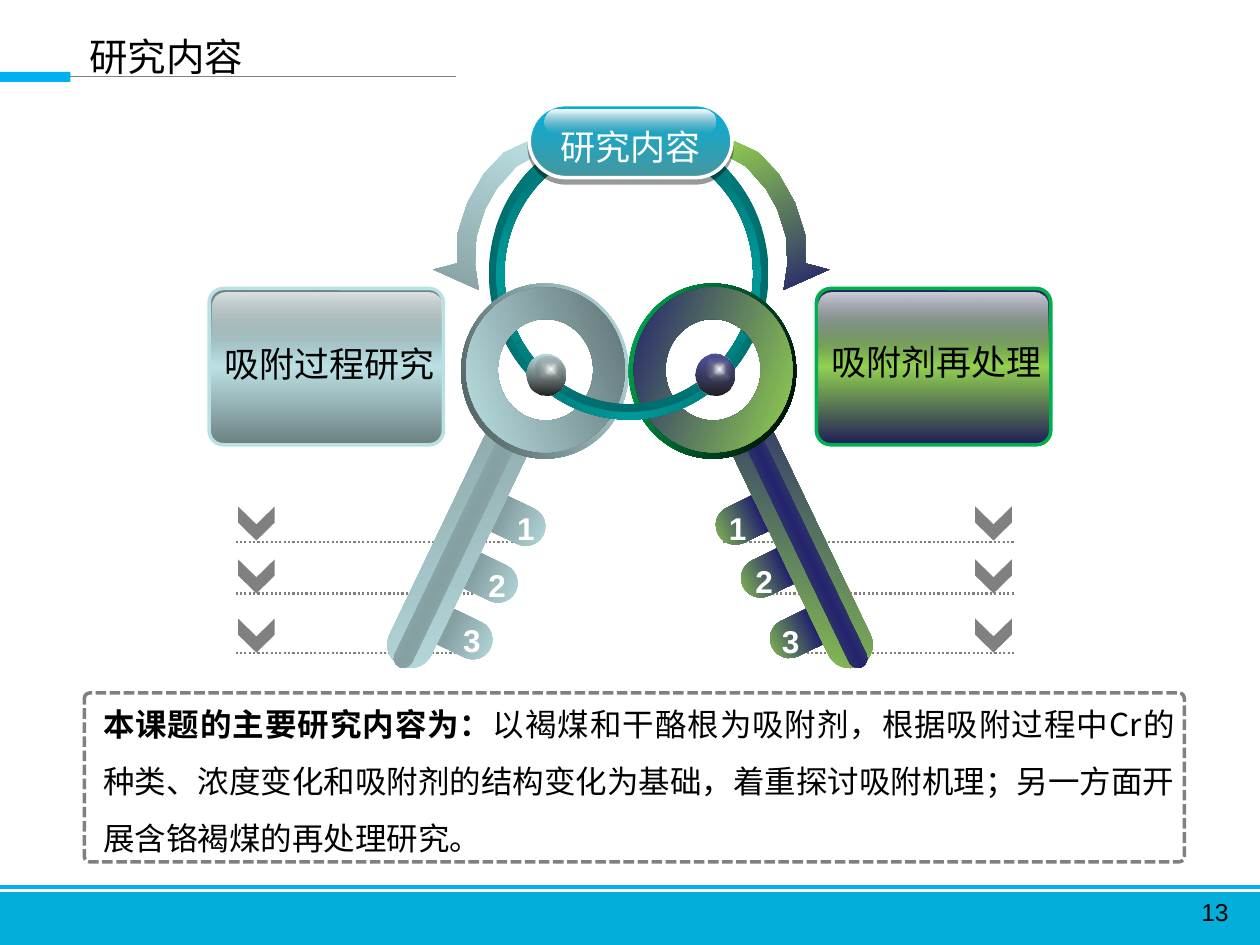
"""Builds the research content slide: two keys on a ring with a summary below."""
from lxml import etree
from pptx import Presentation
from pptx import util as u
from pptx.dml import color
from pptx.enum import dml, shapes, text
from pptx.oxml import ns

presentation = Presentation()
presentation.slide_width, presentation.slide_height = u.Inches(10), u.Inches(7.5)
column, row = presentation.slide_width / 10, presentation.slide_height / 7.5
slide = presentation.slides.add_slide(presentation.slide_layouts[5])
paint = color.RGBColor.from_string
kinds = shapes.MSO_SHAPE
CJK = "Noto Sans CJK SC"
NAMESPACE = ns.nsdecls("a")


def draw(kind, box, fill=None, angle=0, rotation=0, mirror=False, adjust=(), line=None):
    """Draw a preset in a box, or an outline through points, with a solid or gradient fill."""
    if mirror:
        rotation, angle = -rotation, 180 - angle
    if kind is None:
        points = [((10.02 - x if mirror else x) * 1000, y * 1000) for x, y in box]
        builder = slide.shapes.build_freeform(*points[0], scale=column / 1000)
        builder.add_line_segments(points[1:], close=True)
        shape = builder.convert_to_shape()
    else:
        x, y, width, height = box
        shape = slide.shapes.add_shape(
            kind, int(x * column), int(y * row), int(width * column), int(height * row))
    shape.rotation = rotation % 360
    shape.shadow.inherit = False
    for index, value in enumerate(adjust):
        shape.adjustments[index] = value
    if line:
        shape.line.color.rgb, shape.line.width = paint(line[0]), u.Pt(line[1])
    else:
        shape.line.fill.background()
    if fill is None:
        shape.fill.background()
        return shape
    shape.fill.solid()
    if isinstance(fill, str):
        shape.fill.fore_color.rgb = paint(fill)
        return shape
    stops = "".join(
        f'<a:gs pos="{position * 1000}"><a:srgbClr val="{value}">'
        f'<a:alpha val="{alpha * 1000}"/></a:srgbClr></a:gs>' for position, value, alpha in fill)
    direction = (f'<a:lin ang="{int(angle % 360 * 60000)}" scaled="0"/>' if angle is not None else
                 '<a:path path="shape"><a:fillToRect l="50000" t="50000" r="50000" b="50000"/></a:path>')
    gradient = etree.fromstring(
        f'<a:gradFill {NAMESPACE} rotWithShape="1"><a:gsLst>{stops}</a:gsLst>{direction}</a:gradFill>')
    properties = shape.element.spPr
    properties.replace(properties.find(ns.qn("a:solidFill")), gradient)
    return shape


def write(box, words, size, value, align, font="Arial", bold=None):
    """Add a wrapped text box and return its paragraph."""
    x, y, width, height = box
    shape = slide.shapes.add_textbox(int(x * column), int(y * row), int(width * column), int(height * row))
    shape.text_frame.word_wrap = True
    paragraph = shape.text_frame.paragraphs[0]
    paragraph.text, paragraph.alignment = words, align
    paragraph.font.size, paragraph.font.name, paragraph.font.bold = u.Pt(size), font, bold
    paragraph.font.color.rgb = paint(value)
    return paragraph


CENTER = text.PP_ALIGN.CENTER
draw(kinds.RECTANGLE, (0, 7.08, 10, 0.42), "04AEDA")

title = slide.shapes.title
title.left, title.top = int(0.61 * column), int(0.22 * row)
title.width, title.height = int(2.8 * column), int(0.47 * row)
title.text_frame.text = "研究内容"
title.text_frame.vertical_anchor = text.MSO_ANCHOR.TOP
paragraph = title.text_frame.paragraphs[0]
paragraph.alignment, paragraph.line_spacing = text.PP_ALIGN.LEFT, u.Pt(25.6)
paragraph.font.size, paragraph.font.name = u.Pt(22), CJK
paragraph.font.color.rgb = paint("000000")

paragraph = write((0.72, 5.4, 8.7, 1.46), "", 18, "000000", text.PP_ALIGN.JUSTIFY, CJK)
paragraph.line_spacing, paragraph.space_after = 1.5, u.Pt(3.6)
lead = paragraph.add_run()
lead.text, lead.font.bold = "本课题的主要研究内容为：", True
paragraph.add_run().text = ("以褐煤和干酪根为吸附剂，根据吸附过程中Cr的种类、浓度变化和吸附剂的结构变化为基础，"
                            "着重探讨吸附机理；另一方面开展含铬褐煤的再处理研究。")

rules = [(0, 10, 7.04, "00B0F0", 2.25, None), (0.23, 3.62, 0.61, "808080", 0.75, None)]
for index, y in enumerate((4.3, 4.71, 5.18)):
    for start, end in ((1.87, 4.19 - 0.21 * index), (5.74 + 0.21 * index, 8.05)):
        rules.append((start, end, y, "808080", 1.25, dml.MSO_LINE.ROUND_DOT))
for start, end, y, value, width, dash in rules:
    rule = slide.shapes.add_connector(
        shapes.MSO_CONNECTOR.STRAIGHT, int(start * column), int(y * row), int(end * column), int(y * row))
    rule.line.color.rgb, rule.line.width, rule.line.dash_style = paint(value), u.Pt(width), dash
    etree.SubElement(rule.element.spPr, ns.qn("a:effectLst"))
draw(kinds.RECTANGLE, (0, 0.57, 0.56, 0.08), "00B0F0")

sides = [
    dict(mirror=False, light="BBE0E3", dark="86A0A2", tooth_end="BBE0E3", rim=("BBE0E3", "4B5A5B"),
         bow="5F7274", edge="6B8081", border="BBE0E3", ball="BBE0E3", chevron=1.9, shaft=3.46,
         groove=3.56, ring=3.66, panel=1.66, gloss=1.69, sphere=4.18,
         teeth=[(3.61, 3.93), (3.39, 4.38), (3.19, 4.83)],
         numbers=[(3.31, 3.99), (3.08, 4.44), (2.88, 4.88)],
         label="吸附过程研究", label_box=(1.64, 2.67, 1.95, 0.44)),
    dict(mirror=True, light="92D050", dark="24246D", tooth_end="333399", rim=("00B050", "000000"),
         bow="24246D", edge="1D1D57", border="00B050", ball="333399", chevron=7.75, shaft=6.17,
         groove=6.3, ring=4.99, panel=6.48, gloss=6.5, sphere=5.52,
         teeth=[(5.66, 3.92), (5.86, 4.34), (6.09, 4.82)],
         numbers=[(4.99, 3.99), (5.2, 4.41), (5.41, 4.89)],
         label="吸附剂再处理", label_box=(6.48, 2.65, 1.91, 0.44)),
]
arrow = [(4.19, 1.12), (4.34, 1.19), (4.1, 1.32), (3.94, 1.5), (3.85, 1.66), (3.78, 1.88), (3.77, 2.1),
         (3.8, 2.3), (3.44, 2.14), (3.63, 2.09), (3.63, 1.86), (3.71, 1.61), (3.84, 1.38), (4, 1.21)]

for side in sides:
    mirror, light, dark = side["mirror"], side["light"], side["dark"]
    tooth_fill = [(0, light, 100), (50, dark, 100), (100, side["tooth_end"], 100)]
    for y in (4.01, 4.43, 4.9):
        draw(kinds.CHEVRON, (side["chevron"], y, 0.27, 0.29), "808080", rotation=90, adjust=[0.525])
    for x, y in side["teeth"]:
        draw(kinds.ROUNDED_RECTANGLE, (x, y, 0.74, 0.31), tooth_fill, 180, 25.6, mirror, [0.5])
    for number, (x, y) in enumerate(side["numbers"], 1):
        write((x, y, 1.73, 0.37), str(number), 18, "FFFFFF", CENTER, bold=True)
    draw(None, arrow, [(0, light, 100), (100, dark, 100)], 114, mirror=mirror)

ring_fill = [(0, "006D6D", 100), (50, "009999", 100), (100, "006D6D", 100)]
for first, last in ((148, 32), (32, 148)):
    if first == 32:
        for side in sides:
            mirror, light, dark, x = side["mirror"], side["light"], side["dark"], side["ring"]
            draw(kinds.ROUNDED_RECTANGLE, (side["shaft"], 3.23, 0.37, 2.16),
                 [(0, light, 100), (100, dark, 100)], 225, 25.6, mirror, [0.5])
            draw(kinds.ROUNDED_RECTANGLE, (side["groove"], 3.24, 0.15, 2.16),
                 [(0, light, 100), (50, dark, 100), (100, light, 100)], 0, 25.6, mirror, [0.5])
            rim_start, rim_end = side["rim"]
            draw(kinds.DONUT, (x, 2.25, 1.33, 1.39),
                 [(0, rim_start, 100), (100, rim_end, 100)], 160, 0, mirror, [0.21])
            draw(kinds.DONUT, (x + 0.04, 2.28, 1.26, 1.31),
                 [(0, side["bow"], 100), (100, light, 100)], 160, 0, mirror, [0.2])
    for box, thickness, angle in (((3.88, 1.01, 2.22, 2.32), 0.05, 0), ((3.94, 1.08, 2.1, 2.19), 0.03, 90)):
        draw(kinds.BLOCK_ARC, box, ring_fill, angle, adjust=[first * 0.6, last * 0.6, thickness])

for side in sides:
    panel_fill = [(0, side["edge"], 100), (50, side["light"], 100), (100, side["edge"], 100)]
    draw(kinds.ROUNDED_RECTANGLE, (side["panel"], 2.29, 1.86, 1.24), panel_fill, 90,
         adjust=[0.091], line=(side["border"], 2))
    write(side["label_box"], side["label"], 20, "000000", CENTER)

pill = draw(kinds.ROUNDED_RECTANGLE, (4.2, 0.83, 1.61, 0.58),
            [(0, "04AEDA", 100), (100, "4597A0", 100)], 90, adjust=[0.5], line=("FFFFFF", 2))
pill.element.spPr.find(ns.qn("a:effectLst")).append(etree.fromstring(
    f'<a:outerShdw {NAMESPACE} blurRad="0" dist="38100" dir="5400000" rotWithShape="0">'
    '<a:srgbClr val="000000"><a:alpha val="40000"/></a:srgbClr></a:outerShdw>'))
draw(kinds.ROUNDED_RECTANGLE, (4.32, 0.87, 1.36, 0.18),
     [(0, "FFFFFF", 100), (100, "B6B6B6", 0)], 90, adjust=[0.5])
write((4.24, 0.95, 1.53, 0.44), "研究内容", 20, "FFFFFF", CENTER)

for side in sides:
    x = side["sphere"]
    draw(kinds.OVAL, (x, 2.81, 0.31, 0.33), [(0, "FFFFFF", 100), (100, "D1D1D1", 100)], None)
    draw(kinds.OVAL, (x, 2.81, 0.31, 0.33), [(0, side["ball"], 82), (100, "000000", 85)], 90)
    draw(kinds.OVAL, (x + 0.08, 2.82, 0.2, 0.23), [(0, "FFFFFF", 50), (100, "000000", 0)], None, 297.8)
    draw(kinds.OVAL, (x + 0.14, 2.88, 0.1, 0.1), [(0, "FFFFFF", 100), (100, "B6B6B6", 0)], None, 171.1)
for side in sides:
    draw(kinds.ROUNDED_RECTANGLE, (side["gloss"], 2.32, 1.81, 0.46),
         [(0, "FFFFFF", 77), (100, "B6B6B6", 0)], 90, adjust=[0.212])

frame = draw(kinds.ROUNDED_RECTANGLE, (0.67, 5.5, 8.73, 1.34), adjust=[0.031], line=("808080", 2))
frame.line.dash_style = dml.MSO_LINE.SQUARE_DOT
write((7.52, 7.07, 2.33, 0.52), "13", 14, "000000", text.PP_ALIGN.RIGHT)
presentation.save("out.pptx")
